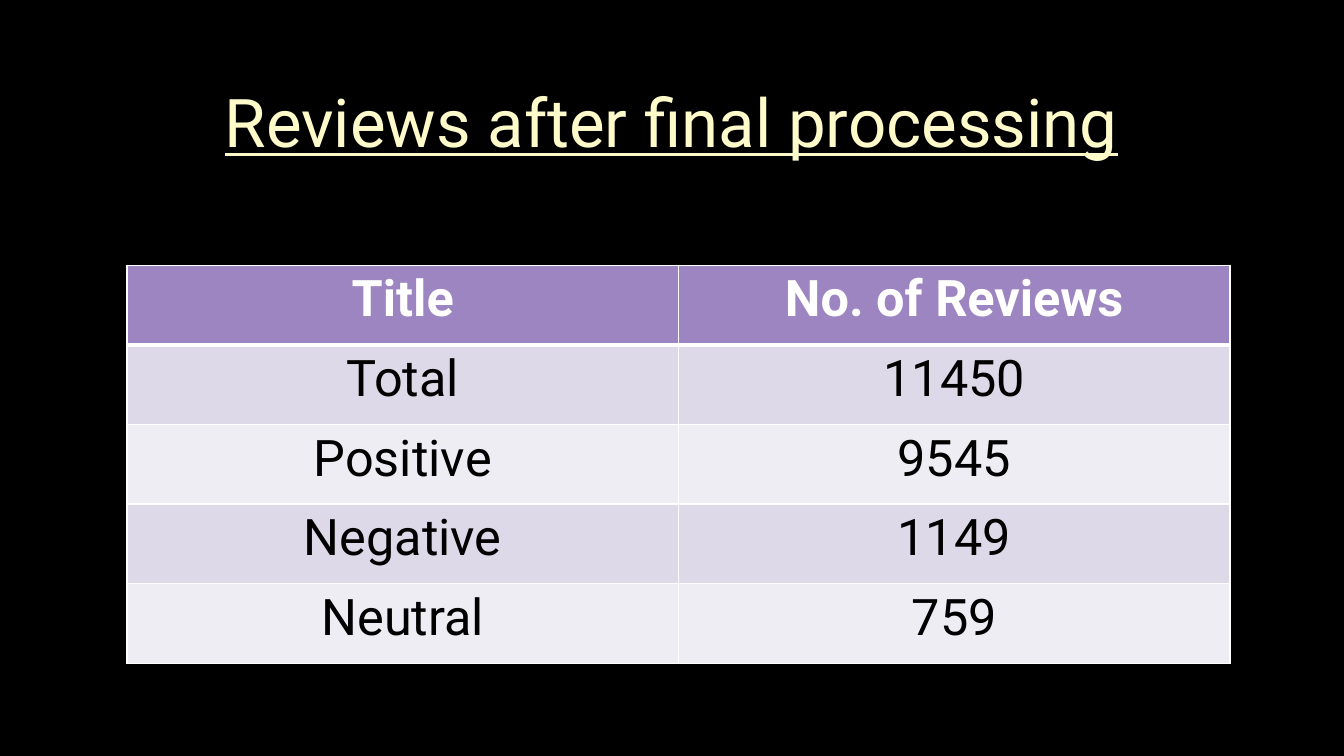
"""Build the slide with the table of review counts after final processing."""
from lxml import etree
from pptx import Presentation
from pptx.dml.color import RGBColor
from pptx.enum.text import MSO_ANCHOR, PP_ALIGN
from pptx.oxml.ns import qn
from pptx.util import Inches, Pt

CENTER = PP_ALIGN.CENTER
MIDDLE = MSO_ANCHOR.MIDDLE
FONT = "Roboto"
COLORS = {
    "back": "000000",
    "title": "FEFAC9",
    "head": "9C85C0",
    "odd": "DED9E8",
    "even": "EFEDF4",
    "light": "FFFFFF",
    "dark": "000000",
}
ROWS = [
    ("Title", "No. of Reviews"),
    ("Total", "11450"),
    ("Positive", "9545"),
    ("Negative", "1149"),
    ("Neutral", "759"),
]
COL_W, ROW_H = 5.47, 0.79


def style(frame, size, color, bold=False, under=False):
    para = frame.paragraphs[0]
    para.alignment = CENTER
    font = para.runs[0].font
    font.name, font.size = FONT, Pt(size)
    font.bold, font.underline = bold, under
    font.color.rgb = RGBColor.from_string(COLORS[color])


def border(cell, sides):
    props = cell._tc.get_or_add_tcPr()
    for spot, (side, width) in enumerate(sides.items()):
        line = etree.Element(qn("a:ln" + side), w=str(Pt(width)))
        fill = etree.SubElement(line, qn("a:solidFill"))
        etree.SubElement(fill, qn("a:srgbClr"), val=COLORS["light"])
        props.insert(spot, line)


prs = Presentation()
prs.slide_width, prs.slide_height = Inches(13.33), Inches(7.5)
slide = prs.slides.add_slide(prs.slide_layouts[5])
back = slide.background.fill
back.solid()
back.fore_color.rgb = RGBColor.from_string(COLORS["back"])

title = slide.shapes.title
title.left, title.top = Inches(1), Inches(0.67)
title.width, title.height = Inches(11.32), Inches(1.06)
title.text_frame.text = "Reviews after final processing"
title.text_frame.vertical_anchor = MIDDLE
style(title.text_frame, 48, "title", under=True)

table = slide.shapes.add_table(
    len(ROWS), 2, Inches(1.26), Inches(2.63),
    Inches(2 * COL_W), Inches(len(ROWS) * ROW_H)).table

for r, row in enumerate(ROWS):
    head = r == 0
    tone = "head" if head else ("even", "odd")[r % 2]
    for c, text in enumerate(row):
        cell = table.cell(r, c)
        cell.text_frame.text = text
        cell.margin_left = cell.margin_right = Inches(0.12)
        cell.margin_top = cell.margin_bottom = Inches(0.05)
        cell.fill.solid()
        cell.fill.fore_color.rgb = RGBColor.from_string(COLORS[tone])
        style(cell.text_frame, 36, "light" if head else "dark", bold=head)
        border(cell, {"L": 1, "R": 1, "T": 3 if r == 1 else 1, "B": 3 if head else 1})

prs.save("out.pptx")
